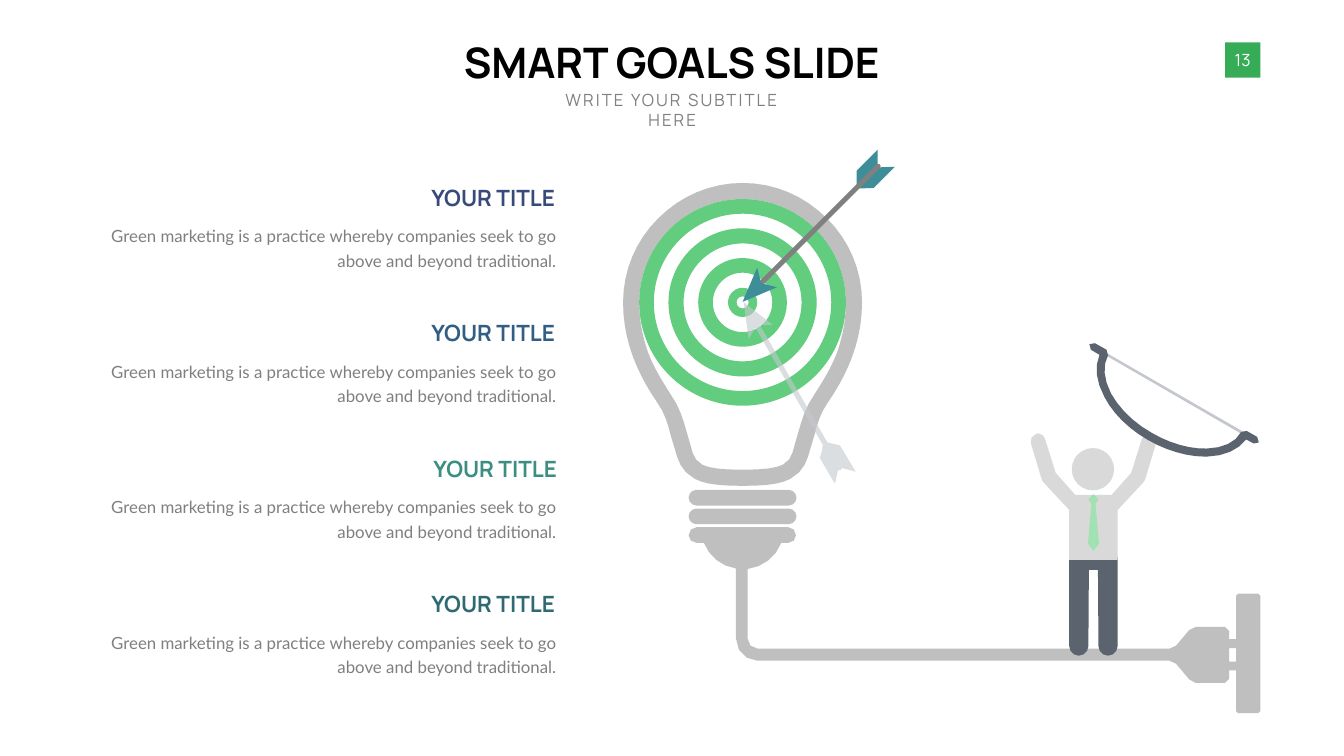
from collections import namedtuple
from math import cos, dist, radians, sin

from lxml.etree import SubElement
from pptx import Presentation
from pptx.dml.color import RGBColor
from pptx.enum.shapes import MSO_SHAPE as Preset
from pptx.enum.text import MSO_ANCHOR as Anchor, MSO_AUTO_SIZE as AutoSize, PP_ALIGN as Align
from pptx.oxml.ns import qn
from pptx.util import Inches, Pt

BLACK = RGBColor(0x00, 0x00, 0x00)
WHITE = RGBColor(0xFF, 0xFF, 0xFF)
GREY = RGBColor(0x80, 0x80, 0x80)
TEXT_GREY = RGBColor(0x7F, 0x7F, 0x7F)
BULB_GREY = RGBColor(0xBF, 0xBF, 0xBF)
SKIN_GREY = RGBColor(0xD9, 0xD9, 0xD9)
PALE_GREY = RGBColor(0xC4, 0xC8, 0xCE)
SLATE = RGBColor(0x5B, 0x63, 0x6E)
BADGE_GREEN = RGBColor(0x37, 0xAC, 0x57)
TARGET_GREEN = RGBColor(0x62, 0xCD, 0x7F)
TIE_GREEN = RGBColor(0xA1, 0xE1, 0xB2)
TEAL = RGBColor(0x3E, 0x8E, 0x99)

BODY = "Green marketing is a practice whereby companies seek to go above and beyond traditional."
# Heading colour and width
GOALS = [
    (RGBColor(0x38, 0x4A, 0x7A), 2.68),
    (RGBColor(0x32, 0x5E, 0x85), 2.68),
    (RGBColor(0x3B, 0x8E, 0x81), 2.72),
    (RGBColor(0x2F, 0x6A, 0x73), 2.68),
]
Box = namedtuple("Box", "left top width height")


def place(shape, box):
    shape.left, shape.top, shape.width, shape.height = map(Inches, box)


def write(shape, text, size, font, color, align, bold=False, wrap=False, anchor=Anchor.TOP):
    frame = shape.text_frame
    frame.text = text
    frame.word_wrap = wrap
    frame.vertical_anchor = anchor
    frame.auto_size = AutoSize.SHAPE_TO_FIT_TEXT
    para = frame.paragraphs[0]
    para.alignment = align
    para.space_before = Pt(0)
    span = para.runs[0]
    span.font.size, span.font.name, span.font.bold = Pt(size), font, bold
    span.font.color.rgb = color
    return para


def paint(shape, color):
    shape.fill.solid()
    shape.fill.fore_color.rgb = color
    shape.line.fill.background()
    shape.shadow.inherit = False
    return shape


def add_preset(page, preset, box, color):
    return paint(page.shapes.add_shape(preset, *map(Inches, box)), color)


def flatten(contour):
    """Turn points and (control, control, end) curves into plain points."""
    points = [contour[0]]
    for step in contour[1:]:
        x0, y0 = points[-1]
        x1, y1, x2, y2, x3, y3 = step if len(step) == 6 else (x0, y0, *step, *step)
        count = 1 + round(4 * dist((x0, y0), (x3, y3))) if len(step) == 6 else 1
        for i in range(1, count + 1):
            t = i / count
            a, b, c, d = (1 - t) ** 3, 3 * t * (1 - t) ** 2, 3 * t * t * (1 - t), t ** 3
            points.append((a * x0 + b * x1 + c * x2 + d * x3, a * y0 + b * y1 + c * y2 + d * y3))
    return points


def half_circle(x, y, radius, start, steps=6):
    angles = [radians(start + 180 * i / steps) for i in range(steps + 1)]
    return [(x + radius * cos(a), y + radius * sin(a)) for a in angles]


def mirrored(half, axis):
    right = flatten(half)
    return right + [(2 * axis - x, y) for x, y in reversed(right) if x != axis]


def draw(shapes, box, color, *contours):
    builder = None
    for contour in contours:
        points = [(Inches(box.left + x), Inches(box.top + y)) for x, y in flatten(contour)]
        if builder is None:
            builder = shapes.build_freeform(*points[0])
        else:
            builder.move_to(*points[0])
        builder.add_line_segments(points[1:], close=True)
    return paint(builder.convert_to_shape(), color)


def add_header(page, box):
    title, subtitle = page.placeholders
    place(title, Box(box.left, box.top, box.width, 1.11))
    write(title, "SMART GOALS SLIDE", 60, "Manrope", BLACK, Align.CENTER, bold=True)
    place(subtitle, Box(box.left + 1.59, box.top + 1.05, 5.43, 0.5))
    para = write(subtitle, "WRITE YOUR SUBTITLE HERE", 24, "Manrope", GREY, Align.CENTER, wrap=True)
    para.runs[0]._r.get_or_add_rPr().set("spc", "300")


def add_page_number(page, box):
    badge = add_preset(page, Preset.RECTANGLE, box, BADGE_GREEN)
    write(badge, "13", 24, "Manrope", WHITE, Align.CENTER, anchor=Anchor.MIDDLE)
    badge.text_frame.auto_size = AutoSize.NONE


def add_goals(page, box):
    pitch = box.height / len(GOALS)
    for i, (color, width) in enumerate(GOALS):
        top = box.top + i * pitch
        heading = page.shapes.add_textbox(*map(Inches, (box.left + 6.77, top, width, 0.64)))
        write(heading, "YOUR TITLE", 32, "Manrope", color, Align.RIGHT, bold=True, anchor=Anchor.MIDDLE)
        body = page.shapes.add_textbox(*map(Inches, (box.left, top + 0.68, box.width, 1.17)))
        para = write(body, BODY, 24, "Lato", TEXT_GREY, Align.RIGHT, wrap=True)
        para.line_spacing = Pt(35)
        frame = body.text_frame
        frame.margin_left = frame.margin_right = Inches(0.24)
        frame.margin_top = frame.margin_bottom = Inches(0.12)


def add_bulb(page, box):
    axis, shapes = 2.73, page.shapes
    # Socket, cable, plug and wall plate
    cable = [
        (1.82, 7.46), (3.64, 7.46), (3.72, 7.46, 3.79, 7.53, 3.79, 7.62),
        (3.79, 7.71, 3.72, 7.77, 3.64, 7.77), (3.5, 7.77), (3.39, 8.05, 3.14, 8.25, 2.83, 8.29),
        (2.83, 9.67), (2.83, 9.78, 2.92, 9.87, 3.03, 9.87), (11.2, 9.87), (11.33, 9.81),
        (11.59, 9.5), (11.72, 9.44), (12.3, 9.44), (12.38, 9.52), (12.38, 9.68), (12.52, 9.68),
        (12.52, 8.82), (12.56, 8.78), (12.96, 8.78), (13, 8.82), (13, 11.11), (12.96, 11.15),
        (12.56, 11.15), (12.52, 11.11), (12.52, 10.3), (12.38, 10.3), (12.38, 10.47),
        (12.3, 10.55), (11.72, 10.55), (11.59, 10.48), (11.33, 10.17), (11.2, 10.11),
        (3.03, 10.11), (2.79, 10.11, 2.6, 9.91, 2.6, 9.67),
        (2.6, 8.28), (2.31, 8.24, 2.07, 8.04, 1.96, 7.77), (1.82, 7.77),
        (1.73, 7.77, 1.66, 7.71, 1.66, 7.62), (1.66, 7.53, 1.73, 7.46, 1.82, 7.46),
    ]
    prong_gap = [(12.38, 9.86), (12.38, 10.13), (12.52, 10.13), (12.52, 9.86)]
    draw(shapes, box, BULB_GREY, cable, prong_gap)
    for top in (6.72, 7.09):
        thread = Box(box.left + 1.66, box.top + top, 2.14, 0.31)
        add_preset(page, Preset.ROUNDED_RECTANGLE, thread, BULB_GREY).adjustments[0] = 0.5
    # Glass
    inner = [
        (axis, 0.95), (3.28, 0.95, 3.79, 1.16, 4.18, 1.55), (4.57, 1.94, 4.78, 2.45, 4.78, 3),
        (4.78, 3.34, 4.72, 3.66, 4.61, 3.98), (4.51, 4.25, 4.36, 4.51, 4.16, 4.82),
        (3.98, 5.07, 3.91, 5.32, 3.85, 5.53), (3.76, 5.84),
        (3.72, 6, 3.69, 6.13, 3.53, 6.22), (3.39, 6.29, 3.16, 6.32, axis, 6.32),
    ]
    outer = [
        (axis, 0.63), (3.36, 0.63, 3.95, 0.88, 4.4, 1.33), (4.85, 1.77, 5.1, 2.37, 5.1, 3),
        (5.1, 3.38, 5.03, 3.74, 4.9, 4.09), (4.79, 4.38, 4.64, 4.67, 4.42, 4.99),
        (4.27, 5.2, 4.21, 5.42, 4.16, 5.62), (4.07, 5.92),
        (4.02, 6.1, 3.96, 6.35, 3.68, 6.5), (3.49, 6.6, 3.23, 6.64, axis, 6.64),
    ]
    draw(shapes, box, BULB_GREY, mirrored(outer, axis), mirrored(inner, axis))
    # Target rings: outer and inner radius
    for radius, hole in ((2.05, 1.76), (1.47, 1.17), (0.88, 0.59), (0.29, 0.12)):
        ring = Box(box.left + axis - radius, box.top + 3 - radius, 2 * radius, 2 * radius)
        donut = add_preset(page, Preset.DONUT, ring, TARGET_GREEN)
        donut.adjustments[0] = (radius - hole) / (2 * radius)


def add_arrow(page, box):
    parts = page.shapes.add_group_shape().shapes
    draw(parts, box, TEAL,
         [(3.02, 0.34), (2.6, 0.76), (2.3, 0.77), (2.72, 0.35)],
         [(2.68, 0), (2.68, 0.3), (2.26, 0.72), (2.26, 0.42)])
    draw(parts, box, GREY, half_circle(0.33, 2.69, 0.05, 45, 4) + half_circle(2.69, 0.33, 0.05, 225, 4))
    draw(parts, box, TEAL, [(0, 3.02), (0.29, 2.34), (0.37, 2.65), (0.68, 2.73)])


def add_arrow_shadow(page, box):
    outline = [
        (2.66, 3.02), (2.39, 2.95), (2.36, 2.99), (2.31, 2.99), (2.25, 3.26), (1.95, 2.75),
        (1.99, 2.61), (2.01, 2.49), (0.67, 0.16), (0.54, 0.39), (0.44, -0.34), (1.02, 0.11),
        (0.76, 0.11), (2.1, 2.44), (2.35, 2.5),
    ]
    turn, x0, y0 = radians(105), box.width / 2, box.height / 2
    upright = [(x0 + (x - x0) * cos(turn) + (y - y0) * sin(turn),
                y0 - (x - x0) * sin(turn) + (y - y0) * cos(turn)) for x, y in outline]
    shadow = draw(page.shapes, box, PALE_GREY, upright)
    shadow.rotation = 105
    color = shadow._element.spPr.find(qn("a:solidFill")).find(qn("a:srgbClr"))
    SubElement(color, qn("a:alpha")).set("val", "60000")


def add_archer(page, box):
    axis, shapes = 1.69, page.shapes
    head = Box(box.left + 1.26, box.top + 2.89, 0.84, 0.84)
    add_preset(page, Preset.OVAL, head, SKIN_GREY)
    # Legs, then shirt with raised arms, then tie
    legs = [(axis, 5.05), (2.17, 5.05), *half_circle(1.98, 6.82, 0.19, 0), (1.78, 5.31), (axis, 5.31)]
    shirt = [
        (axis, 3.82), (2.05, 3.82), (2.44, 3.38), (2.65, 2.71), (2.66, 2.65, 2.72, 2.61, 2.78, 2.6),
        (2.83, 2.61), (2.91, 2.64, 2.96, 2.72, 2.93, 2.8), (2.72, 3.5), (2.69, 3.56),
        (2.17, 4.12), (2.17, 5.11), (axis, 5.11),
    ]
    tie = [(axis, 3.81), (1.71, 3.82), (1.79, 3.91), (1.73, 3.99), (1.8, 4.79), (axis, 4.93)]
    for color, half in ((SLATE, legs), (SKIN_GREY, shirt), (TIE_GREEN, tie)):
        draw(shapes, box, color, mirrored(half, axis))
    # Bowstring and bow
    draw(shapes, box, PALE_GREY, [(4.68, 2.64), (1.88, 1.02), (1.91, 0.98), (4.72, 2.6)])
    draw(shapes, box, SLATE, [
        (3.9, 3.06), (3.54, 3.06, 3.14, 2.94, 2.77, 2.73), (2.39, 2.51, 2.08, 2.21, 1.91, 1.88),
        (1.74, 1.57, 1.71, 1.28, 1.81, 1.04), (1.64, 0.94), (1.6, 0.92, 1.59, 0.87, 1.61, 0.83),
        (1.64, 0.8, 1.68, 0.78, 1.72, 0.81), (1.95, 0.94), (1.99, 0.96, 2.01, 1.01, 1.98, 1.05),
        (1.87, 1.25, 1.89, 1.52, 2.04, 1.81), (2.21, 2.11, 2.49, 2.39, 2.85, 2.59),
        (3.21, 2.8, 3.6, 2.91, 3.94, 2.9), (4.26, 2.89, 4.51, 2.78, 4.62, 2.57),
        (4.65, 2.54, 4.69, 2.52, 4.73, 2.55), (4.94, 2.67), (4.98, 2.69, 5, 2.74, 4.97, 2.78),
        (4.95, 2.81, 4.9, 2.83, 4.87, 2.8), (4.72, 2.72), (4.56, 2.93, 4.29, 3.05, 3.94, 3.06)])


def main():
    deck = Presentation()
    deck.slide_width, deck.slide_height = Inches(26.66), Inches(15)
    page = deck.slides.add_slide(deck.slide_layouts[0])
    add_page_number(page, Box(24.3, 0.84, 0.7, 0.7))
    add_header(page, Box(9.03, 0.67, 8.59, 1.55))
    add_bulb(page, Box(12, 3, 13, 11.15))
    add_arrow(page, Box(14.73, 2.97, 3.02, 3.02))
    add_archer(page, Box(20, 6, 5, 7))
    add_goals(page, Box(1.66, 3.6, 9.61, 10.75))
    add_arrow_shadow(page, Box(14.32, 6.33, 3.01, 3.02))
    deck.save("out.pptx")


if __name__ == "__main__":
    main()
